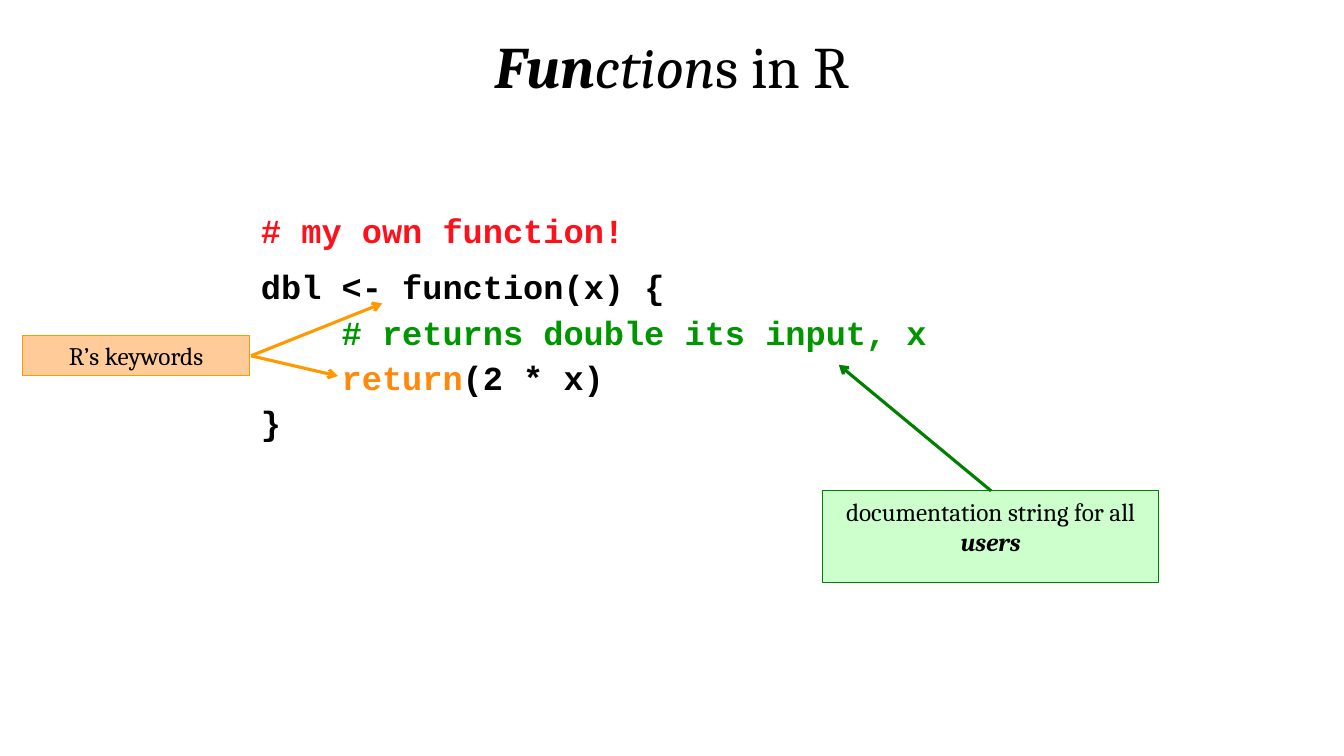
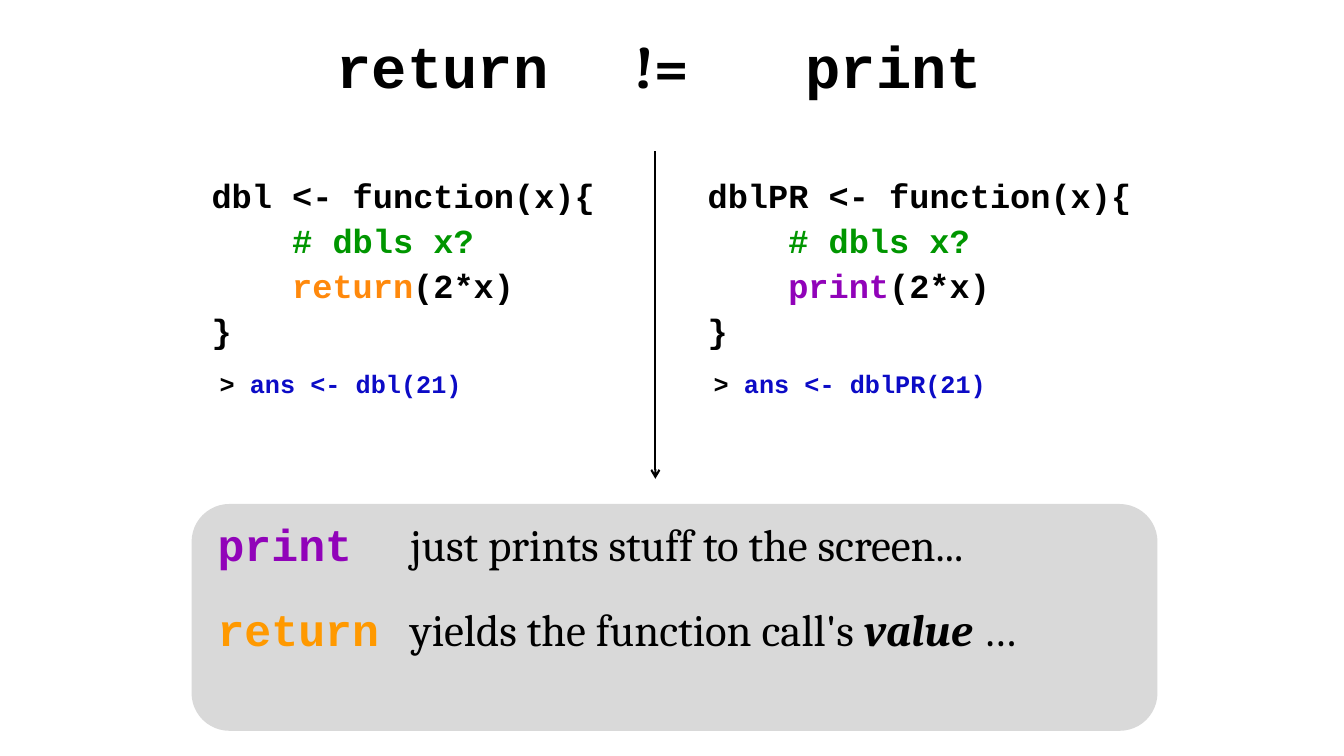
"""Build two slides on functions in R: their anatomy, and return versus print."""
from lxml.etree import SubElement
from pptx import Presentation
from pptx.dml.color import RGBColor
from pptx.enum.shapes import MSO_CONNECTOR, MSO_SHAPE
from pptx.enum.text import MSO_ANCHOR, MSO_AUTO_SIZE, PP_ALIGN
from pptx.oxml.ns import qn
from pptx.util import Inches, Pt

BLACK = RGBColor(0x00, 0x00, 0x00)
RED = RGBColor(0xFF, 0x11, 0x1C)
COMMENT = RGBColor(0x00, 0x96, 0x00)
KEYWORD = RGBColor(0xFF, 0x89, 0x0C)
PURPLE = RGBColor(0x91, 0x03, 0xB9)
BLUE = RGBColor(0x0C, 0x0B, 0xC6)
ORANGE = RGBColor(0xFF, 0x99, 0x00)
PEACH = RGBColor(0xFF, 0xCC, 0x99)
GREEN = RGBColor(0x00, 0x80, 0x00)
MINT = RGBColor(0xCC, 0xFF, 0xCC)
GREY = RGBColor(0xD9, 0xD9, 0xD9)
WHITE = RGBColor(0xFF, 0xFF, 0xFF)

SERIF, MONO = "Cambria", "Courier New"
TITLE_SIZE, CODE_SIZE, SUMMARY_SIZE, NOTE_SIZE = 42, 24, 32, 18
CODE_INDENT = 0.8
TIGHT = 0.7


def code(text, color=BLACK):
    return text, MONO, color, "b"


def prose(text, style=""):
    return text, SERIF, BLACK, style


FUNCTIONS_TITLE = [prose("Fun", "bi"), prose("ction", "i"), prose("s in R")]
ANATOMY = [
    (0, TIGHT, [code("# my own function!", RED)]),
    (0, None, [code("dbl <- function(x) {")]),
    (1, TIGHT, [code("# returns double its input, x", COMMENT)]),
    (1, TIGHT, [code("return", KEYWORD), code("(2 * x)")]),
    (0, TIGHT, [code("}")]),
]
CALLOUTS = [
    ((0.22, 3.33, 2.26, 0.4), PEACH, ORANGE, [prose("R’s keywords")],
     (2.49, 3.53), [(3.35, 3.73), (3.79, 3.01)]),
    ((8.16, 4.87, 3.33, 0.91), MINT, GREEN,
     [prose("documentation string for all "), prose("users", "bi")],
     (9.83, 4.87), [(8.32, 3.62)]),
]

COMPARE_TITLE = [code("\treturn"), prose("\t!=", "b"), code("\tprint")]
COMPARE_TABS = [1.2, 4.15, 5.85]
EXAMPLES = [
    (2.0, 2.08, 4.86, "dbl", "return", KEYWORD),
    (6.92, 6.98, 4.27, "dblPR", "print", PURPLE),
]
SUMMARY_TAB = 1.91
SUMMARY = [
    (5.08, [code("print", PURPLE), prose("\tjust prints stuff to the screen...")]),
    (5.92, [code("return", ORANGE), prose("\tyields the function call's "),
            prose("value ", "bi"), prose("…")]),
]


def place(numbers):
    return [Inches(number) for number in numbers]


def new_page(deck):
    page = deck.slides.add_slide(deck.slide_layouts[6])
    page.background.fill.solid()
    page.background.fill.fore_color.rgb = WHITE
    return page


def write(para, runs, size, align=PP_ALIGN.LEFT, half_gap=True,
          spacing=None, indent=0, tabs=()):
    para.alignment = align
    if spacing:
        para.line_spacing = spacing
    properties = para._p.get_or_add_pPr()
    if half_gap:
        para.space_before = Pt(0)
        before = properties.find(qn("a:spcBef"))
        before.remove(before[0])
        SubElement(before, qn("a:spcPct"), val="50000")
    if indent:
        properties.set("marL", str(Inches(indent)))
    if tabs:
        stops = SubElement(properties, qn("a:tabLst"))
        for tab in tabs:
            SubElement(stops, qn("a:tab"), pos=str(Inches(tab)), algn="l")
    for text, font, color, style in runs:
        span = para.add_run()
        span.text = text
        span.font.name = font
        span.font.size = Pt(size)
        span.font.color.rgb = color
        span.font.bold = "b" in style
        span.font.italic = "i" in style


def set_frame(box):
    frame = box.text_frame
    frame.word_wrap = True
    frame.auto_size = MSO_AUTO_SIZE.SHAPE_TO_FIT_TEXT
    frame.vertical_anchor = MSO_ANCHOR.TOP
    return frame


def add_text(page, bounds, runs, size, **options):
    frame = set_frame(page.shapes.add_textbox(*place(bounds)))
    write(frame.paragraphs[0], runs, size, **options)


def add_code(page, bounds, lines):
    frame = set_frame(page.shapes.add_textbox(*place(bounds)))
    for number, (level, spacing, runs) in enumerate(lines):
        para = frame.add_paragraph() if number else frame.paragraphs[0]
        write(para, runs, CODE_SIZE, spacing=spacing, indent=level * CODE_INDENT)


def add_title(page, runs, **options):
    add_text(page, (2.04, 0.25, 9.25, 0.8), runs, TITLE_SIZE, **options)


def add_panel(page, kind, bounds, fill, edge=None):
    panel = page.shapes.add_shape(kind, *place(bounds))
    panel.shadow.inherit = False
    panel.fill.solid()
    panel.fill.fore_color.rgb = fill
    if edge is None:
        panel.line.fill.background()
    else:
        panel.line.color.rgb = edge
        panel.line.width = Pt(0.75)
    return panel


def add_arrow(page, start, end, color, width):
    arrow = page.shapes.add_connector(MSO_CONNECTOR.STRAIGHT, *place(start + end))
    arrow.line.color.rgb = color
    arrow.line.width = Pt(width)
    SubElement(arrow.line._get_or_add_ln(), qn("a:tailEnd"), type="arrow")
    SubElement(arrow._element.spPr, qn("a:effectLst"))


def build_functions(deck):
    page = new_page(deck)
    add_code(page, (2.49, 2.14, 8.28, 2.44), ANATOMY)
    add_title(page, FUNCTIONS_TITLE, align=PP_ALIGN.CENTER)
    for bounds, fill, edge, runs, start, targets in CALLOUTS:
        panel = add_panel(page, MSO_SHAPE.RECTANGLE, bounds, fill, edge)
        write(set_frame(panel).paragraphs[0], runs, NOTE_SIZE,
              align=PP_ALIGN.CENTER, half_gap=False)
        for target in targets:
            add_arrow(page, start, target, edge, 2.25)


def build_comparison(deck):
    page = new_page(deck)
    add_title(page, COMPARE_TITLE, tabs=COMPARE_TABS)
    for left, call_left, call_width, name, keyword, color in EXAMPLES:
        add_code(page, (left, 1.8, 4.5, 1.85), [
            (0, TIGHT, [code(f"{name} <- function(x){{")]),
            (1, TIGHT, [code("# dbls x?", COMMENT)]),
            (1, TIGHT, [code(keyword, color), code("(2*x)")]),
            (0, TIGHT, [code("}")]),
        ])
        add_text(page, (call_left, 3.6, call_width, 0.4),
                 [code("> "), code(f"ans <- {name}(21)", BLUE)],
                 NOTE_SIZE, half_gap=False)
    add_arrow(page, (6.5, 1.5), (6.5, 4.75), BLACK, 1.5)
    add_panel(page, MSO_SHAPE.ROUNDED_RECTANGLE, (1.9, 5, 9.58, 2.25), GREY)
    for top, runs in SUMMARY:
        add_text(page, (2.06, top, 9.09, 0.64), runs, SUMMARY_SIZE,
                 tabs=[SUMMARY_TAB])


deck = Presentation()
deck.slide_width, deck.slide_height = place((13.33, 7.5))
build_functions(deck)
build_comparison(deck)
deck.save("out.pptx")
